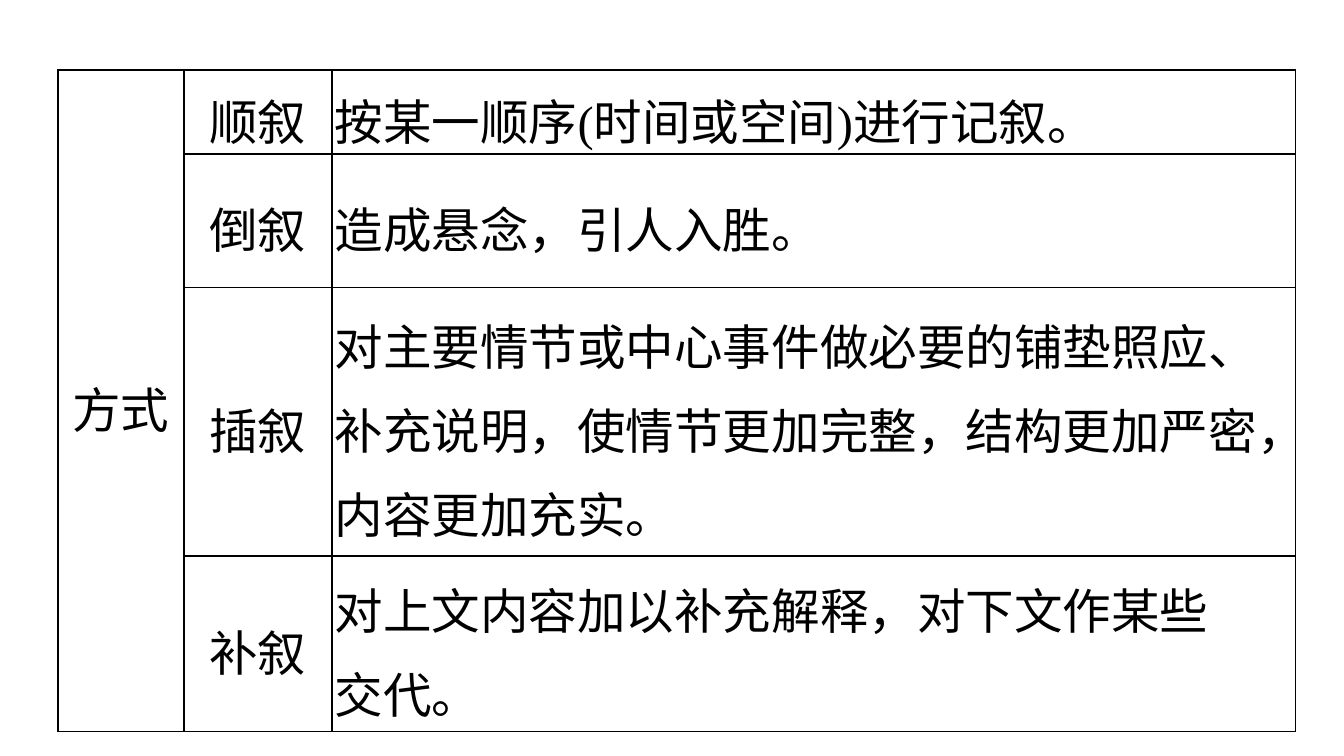
from dataclasses import dataclass

from lxml import etree
from pptx import Presentation
from pptx import util as u
from pptx.dml.color import RGBColor
from pptx.enum import text
from pptx.oxml import ns


@dataclass(frozen=True)
class Theme:
    ink: str = "000000"
    paper: str = "FFFFFF"
    font: str = "Times New Roman"
    size: int = 26
    line_spacing: int = 45
    border: int = 1


THEME = Theme()
PAGE_WIDTH = 10
PAGE_HEIGHT = PAGE_WIDTH * 9 / 16
HEADING = "方式"
METHODS = [
    ("顺叙", "按某一顺序(时间或空间)进行记叙。"),
    ("倒叙", "造成悬念，引人入胜。"),
    ("插叙", "对主要情节或中心事件做必要的铺垫照应、"
             "补充说明，使情节更加完整，结构更加严密，内容更加充实。"),
    ("补叙", "对上文内容加以补充解释，对下文作某些\v交代。"),
]
COLUMN_WIDTHS = [0.94, 1.1, 7.17]
ROW_HEIGHTS = [0.61, 0.99, 1.99, 1.3]


def add_borders(cell):
    """Draw all four cell borders; they must precede the fill in tcPr."""
    properties = cell._tc.get_or_add_tcPr()
    for index, side in enumerate(("lnL", "lnR", "lnT", "lnB")):
        line = etree.Element(ns.qn(f"a:{side}"), w=str(u.Pt(THEME.border)))
        fill = etree.SubElement(line, ns.qn("a:solidFill"))
        etree.SubElement(fill, ns.qn("a:srgbClr"), val=THEME.ink)
        properties.insert(index, line)


def format_cell(cell):
    cell.fill.background()
    add_borders(cell)
    cell.vertical_anchor = text.MSO_ANCHOR.MIDDLE
    cell.margin_left = cell.margin_right = u.Inches(0.02)
    cell.margin_top = cell.margin_bottom = 0


def write_cell(cell, words, align):
    cell.text = words
    para = cell.text_frame.paragraphs[0]
    para.alignment = align
    para.line_spacing = u.Pt(THEME.line_spacing)
    para.font.name = THEME.font
    para.font.size = u.Pt(THEME.size)
    para.font.color.rgb = RGBColor.from_string(THEME.ink)


def add_methods_table(page, left, top, width, height):
    frame = page.shapes.add_table(len(METHODS), len(COLUMN_WIDTHS),
                                  u.Inches(left), u.Inches(top),
                                  u.Inches(width), u.Inches(height))
    table = frame.table
    table.first_row = table.horz_banding = False

    # Grid, scaled to the given box
    for column, share in zip(table.columns, COLUMN_WIDTHS):
        column.width = u.Inches(width * share / sum(COLUMN_WIDTHS))
    for row, share in zip(table.rows, ROW_HEIGHTS):
        row.height = u.Inches(height * share / sum(ROW_HEIGHTS))
    for cell in table.iter_cells():
        format_cell(cell)

    # Heading spans every row
    table.cell(0, 0).merge(table.cell(len(METHODS) - 1, 0))
    write_cell(table.cell(0, 0), HEADING, text.PP_ALIGN.CENTER)

    # One row for each narrative method
    for index, (method, effect) in enumerate(METHODS):
        write_cell(table.cell(index, 1), method, text.PP_ALIGN.CENTER)
        write_cell(table.cell(index, 2), effect, text.PP_ALIGN.LEFT)


def main():
    deck = Presentation()
    deck.slide_width = u.Inches(PAGE_WIDTH)
    deck.slide_height = u.Inches(PAGE_HEIGHT)
    page = deck.slides.add_slide(deck.slide_layouts[6])
    add_methods_table(page, 0.43, 0.52, 9.21, 4.91)
    deck.save("out.pptx")


if __name__ == "__main__":
    main()
